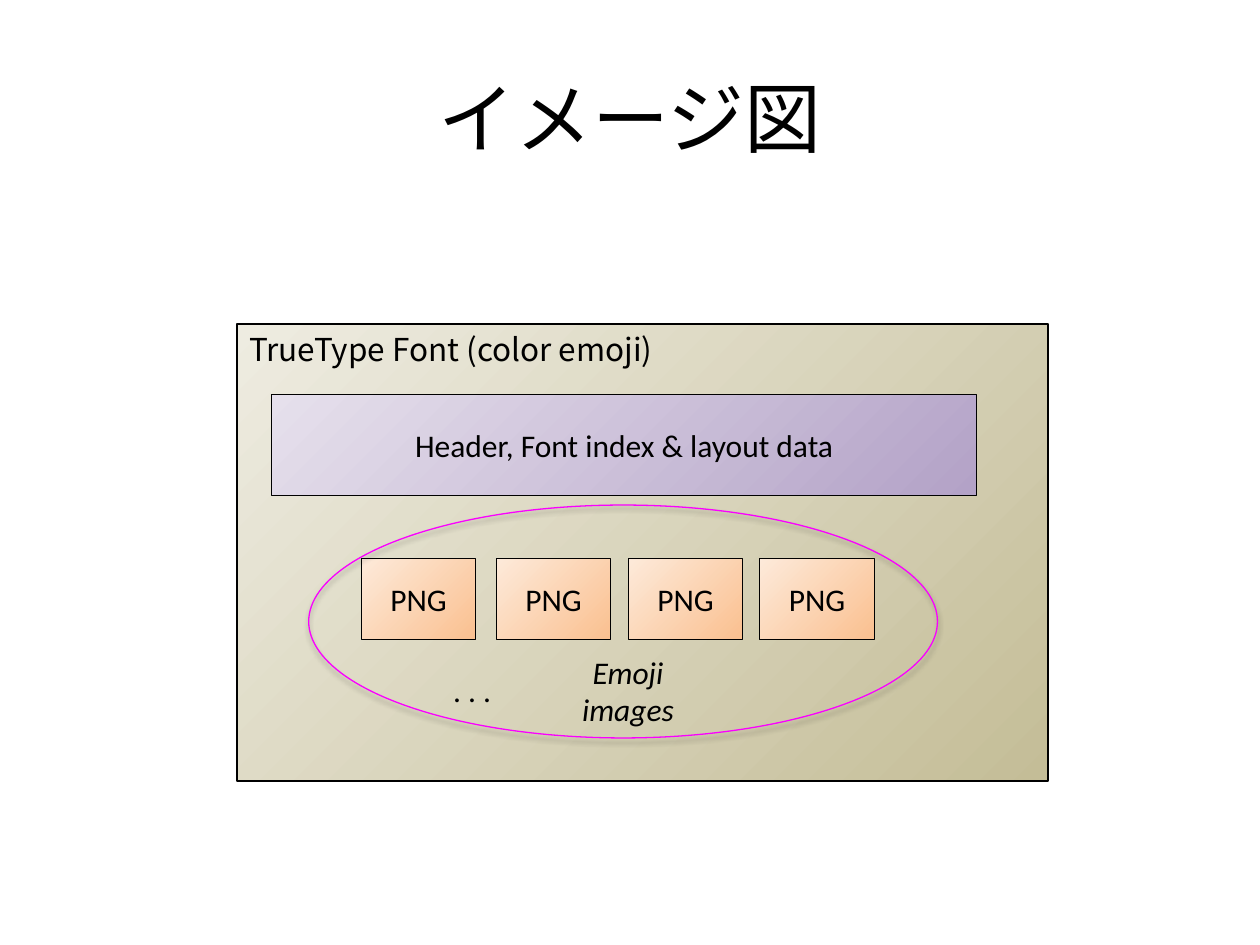
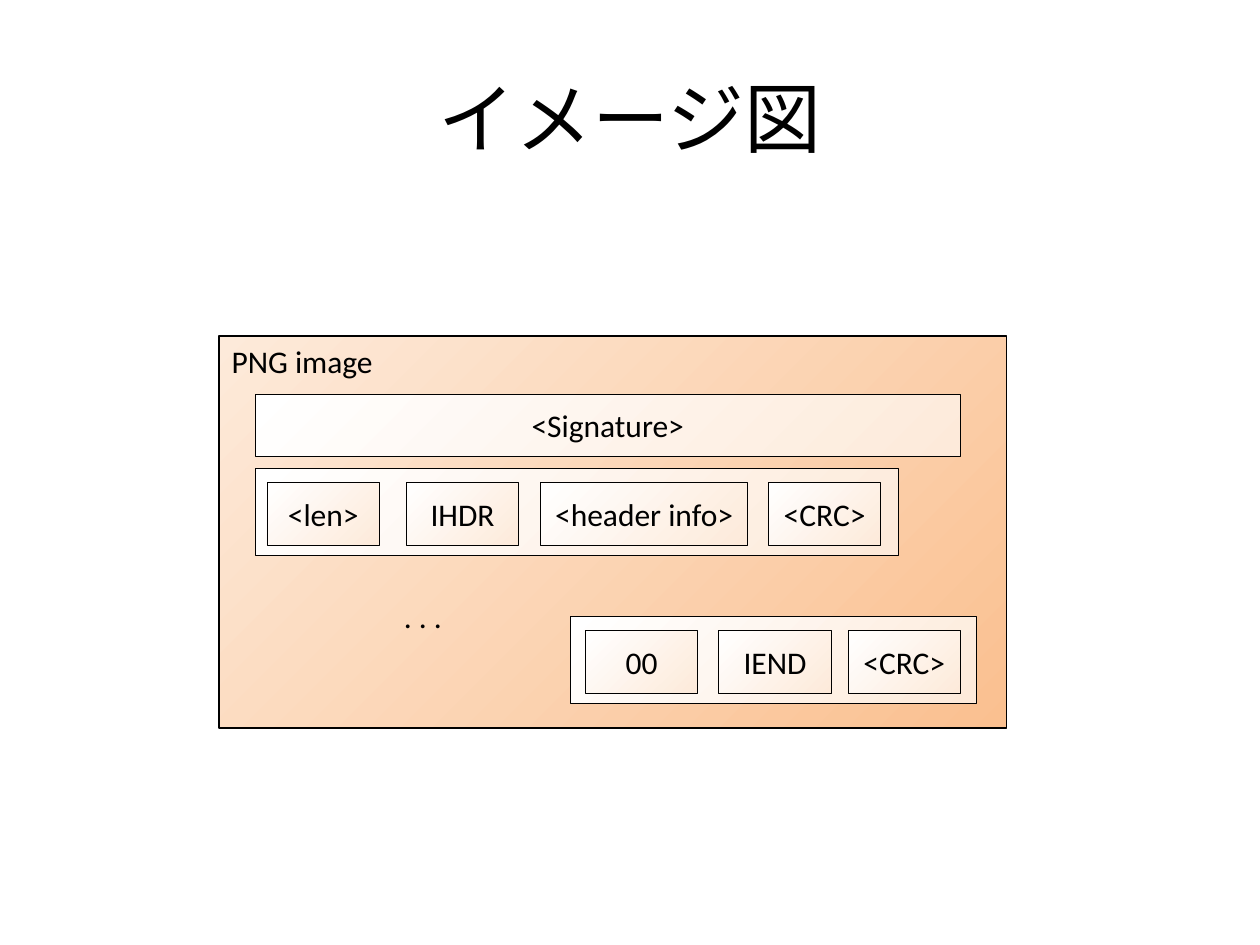
from lxml.etree import SubElement
from pptx import Presentation
from pptx.dml.color import RGBColor
from pptx.enum.lang import MSO_LANGUAGE_ID
from pptx.enum.shapes import MSO_SHAPE
from pptx.enum.text import MSO_ANCHOR, PP_ALIGN
from pptx.oxml.ns import qn
from pptx.util import Pt

# Shared look; a shade runs from the bottom right corner to the top left.
BLACK, MAGENTA = "000000", "FA00FF"
BODY_FONT, WIDE_FONT = "Calibri", "Noto Sans CJK JP"
TITLE_SIZE, BODY_SIZE = 44, 18
TITLE_AREA = (36, 21.6, 648, 90)
KHAKI = ("C4BD97", "EEECE1")
PURPLE = ("B3A2C7", "E6E0EC")
ORANGE = ("FAC090", "FDEADA")
PALE = ("FDEADA", "FFFFFF")
TITLE, DOTS = "イメージ図", ". . . "

# Font slide: areas are left, top, width, height.
FONT_PANEL = ("TrueType Font (color emoji)", (135.3, 185, 463.7, 261.3))
FONT_HEADER = ("Header, Font index & layout data", (155.4, 225.2, 402.7, 57.8))
PNG_LEFTS = (206.5, 283.6, 359.1, 434.2)
PNG_TOP, PNG_WIDTH, PNG_HEIGHT = 319, 65.4, 46.2
EMOJI_RING = (176.4, 288.6, 359.3, 133.1)
NOTE_SIZE = (74.2, 37.4)
FONT_DOTS = (234.7, 375.8)
EMOJI_NOTE = ("Emoji images", (321.8, 375.8))

# PNG slide: each chunk is a frame with fields of text, left and width.
PNG_PANEL = ("PNG image", (125.2, 192, 450, 224))
SIGNATURE = ("<Signature>", (146, 225.2, 402.7, 35.4))
FIELD_WIDTH, FIELD_HEIGHT, FIELD_INSET = 64.3, 35.8, 8
CHUNKS = [
    ((146, 267.8, 367.4, 49.4),
     [("<len>", 152.6, FIELD_WIDTH), ("IHDR", 232.2, FIELD_WIDTH),
      ("<header info>", 308.9, 118.4), ("<CRC>", 439.1, FIELD_WIDTH)]),
    ((326, 352.4, 231.8, 49.4),
     [("00", 334.5, FIELD_WIDTH), ("IEND", 410.8, FIELD_WIDTH),
      ("<CRC>", 484.6, FIELD_WIDTH)]),
]
PNG_DOTS = (206.6, 333.4)


def color(value):
    """Turn a hex string into a colour."""
    return RGBColor.from_string(value)


def place(shape, area):
    """Move and size a shape in points."""
    shape.left, shape.top, shape.width, shape.height = map(Pt, area)


def write(shape, text, size=BODY_SIZE, font=BODY_FONT, italic=False,
          align=PP_ALIGN.CENTER, anchor=MSO_ANCHOR.MIDDLE):
    """Put one formatted run into a shape and return it."""
    frame = shape.text_frame
    frame.word_wrap = True
    frame.vertical_anchor = anchor
    para = frame.paragraphs[0]
    para.alignment = align
    span = para.add_run()
    span.text = text
    span.font.name, span.font.size = font, Pt(size)
    span.font.italic = italic
    span.font.color.rgb = color(BLACK)
    return span


def outline(page, kind, area, line, weight):
    """Add a preset shape with a plain line and no shadow."""
    shape = page.shapes.add_shape(kind, *map(Pt, area))
    shape.shadow.inherit = False
    shape.line.color.rgb = color(line)
    shape.line.width = Pt(weight)
    return shape


def shaded_box(page, area, shade, weight=0.5):
    """Add a rectangle shaded radially from its bottom right corner."""
    box = outline(page, MSO_SHAPE.RECTANGLE, area, BLACK, weight)
    box.fill.gradient()
    for stop, value, position in zip(box.fill.gradient_stops, shade, (0, 1)):
        stop.color.rgb = color(value)
        stop.position = position
    gradient = box._element.spPr.find(qn("a:gradFill"))
    gradient.remove(gradient.find(qn("a:lin")))
    radial = SubElement(gradient, qn("a:path"), path="circle")
    SubElement(radial, qn("a:fillToRect"), l="100000", t="100000")
    return box


def label_box(page, text, area, shade):
    """Add a shaded box with centred text."""
    write(shaded_box(page, area, shade), text)


def panel(page, content, shade, font=BODY_FONT):
    """Add the large outer box with its caption at the top left."""
    text, area = content
    write(shaded_box(page, area, shade, 1), text, font=font,
          align=PP_ALIGN.LEFT, anchor=MSO_ANCHOR.TOP)


def note(page, text, corner, italic=False):
    """Add a small free text."""
    box = page.shapes.add_textbox(*map(Pt, corner + NOTE_SIZE))
    write(box, text, italic=italic)


def ring(page, area):
    """Add the unfilled ellipse with its soft shadow."""
    shape = outline(page, MSO_SHAPE.OVAL, area, MAGENTA, 0.75)
    shape.fill.background()
    effects = shape._element.spPr.find(qn("a:effectLst"))
    shadow = SubElement(effects, qn("a:outerShdw"), blurRad=str(Pt(3.1)),
                        dist=str(Pt(1.8)), dir="5400000", rotWithShape="0")
    tone = SubElement(shadow, qn("a:srgbClr"), val=BLACK)
    SubElement(tone, qn("a:alpha"), val="35000")


def titled_page(deck):
    """Add a title-only slide with the shared title."""
    page = deck.slides.add_slide(deck.slide_layouts[5])
    place(page.shapes.title, TITLE_AREA)
    span = write(page.shapes.title, TITLE, TITLE_SIZE)
    span.font.language_id = MSO_LANGUAGE_ID.JAPANESE
    return page


def font_page(deck):
    """Show a colour font that holds PNG images."""
    page = titled_page(deck)
    panel(page, FONT_PANEL, KHAKI, WIDE_FONT)
    label_box(page, *FONT_HEADER, PURPLE)
    for left in PNG_LEFTS:
        label_box(page, "PNG", (left, PNG_TOP, PNG_WIDTH, PNG_HEIGHT), ORANGE)
    note(page, DOTS, FONT_DOTS)
    ring(page, EMOJI_RING)
    note(page, *EMOJI_NOTE, italic=True)


def png_page(deck):
    """Show the chunks inside a PNG image."""
    page = titled_page(deck)
    panel(page, PNG_PANEL, ORANGE)
    label_box(page, *SIGNATURE, PALE)
    for area, fields in CHUNKS:
        shaded_box(page, area, PALE)
        top = area[1] + FIELD_INSET
        for text, left, width in fields:
            label_box(page, text, (left, top, width, FIELD_HEIGHT), PALE)
    note(page, DOTS, PNG_DOTS)


deck = Presentation()
deck.slide_width, deck.slide_height = Pt(720), Pt(540)
font_page(deck)
png_page(deck)
deck.save("out.pptx")
